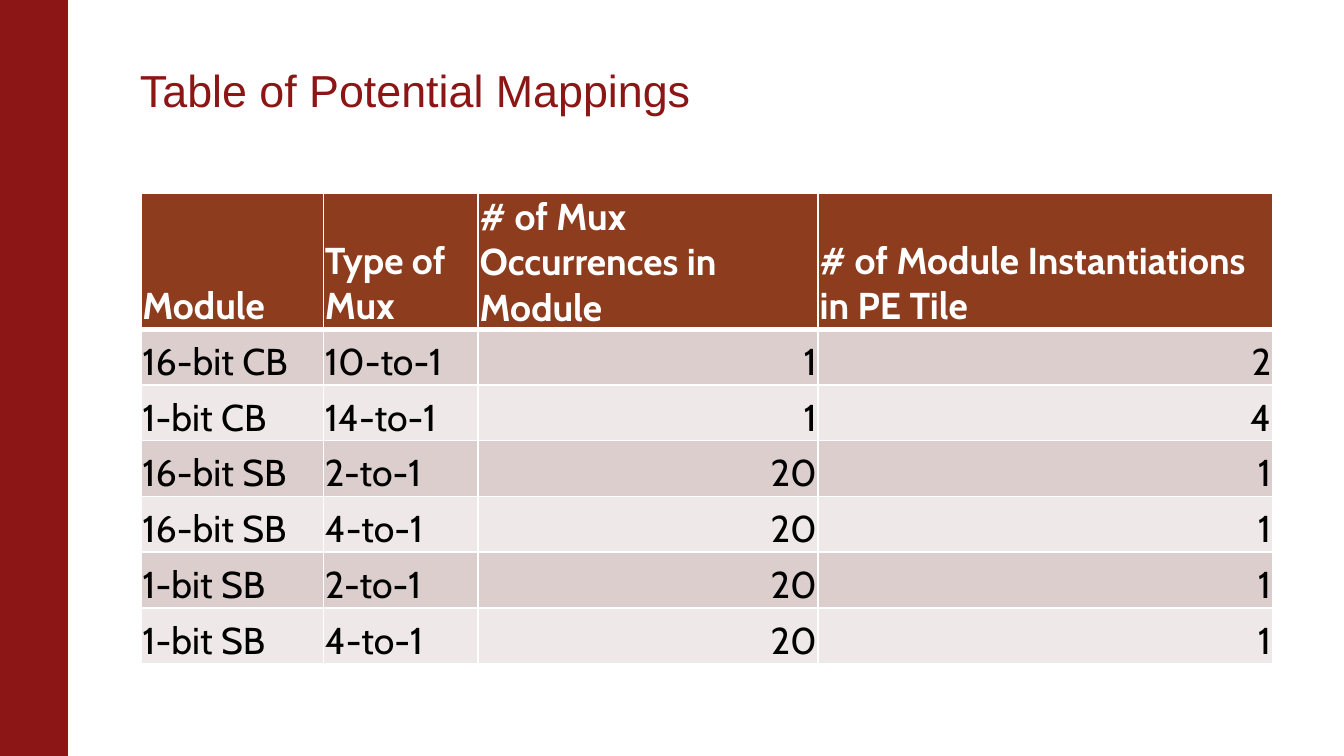
from lxml import etree
from pptx import Presentation
from pptx.dml.color import RGBColor
from pptx.enum.shapes import MSO_SHAPE
from pptx.enum.text import MSO_ANCHOR, PP_ALIGN
from pptx.oxml.ns import qn
from pptx.util import Pt

RECT = MSO_SHAPE.RECTANGLE
BOTTOM = MSO_ANCHOR.BOTTOM
LEFT, RIGHT = PP_ALIGN.LEFT, PP_ALIGN.RIGHT

COLORS = {
    "cardinal": "8C1515",
    "header": "8D3C1E",
    "band_dark": "DBCECD",
    "band_light": "EEE8E8",
    "white": "FFFFFF",
    "black": "000000",
}

COLUMN_WIDTHS = [97.9, 82.8, 182.2, 243.3]
HEADER_HEIGHT = 73
ROW_HEIGHT = 29.9
MAPPINGS = [
    ["Module", "Type of Mux", "# of Mux Occurrences in Module",
     "# of Module Instantiations in PE Tile"],
    ["16-bit CB", "10-to-1", "1", "2"],
    ["1-bit CB", "14-to-1", "1", "4"],
    ["16-bit SB", "2-to-1", "20", "1"],
    ["16-bit SB", "4-to-1", "20", "1"],
    ["1-bit SB", "2-to-1", "20", "1"],
    ["1-bit SB", "4-to-1", "20", "1"],
]


def rgb(name):
    return RGBColor.from_string(COLORS[name])


def format_font(font, name, size, color, bold=False):
    font.name, font.size, font.bold = name, Pt(size), bold
    font.color.rgb = rgb(color)


def set_margins(target, left, top, right, bottom):
    target.margin_left, target.margin_top = Pt(left), Pt(top)
    target.margin_right, target.margin_bottom = Pt(right), Pt(bottom)


def add_side_bar(s, x, y, w, h):
    bar = s.shapes.add_shape(RECT, Pt(x), Pt(y), Pt(w), Pt(h))
    bar.shadow.inherit = False
    bar.fill.solid()
    bar.fill.fore_color.rgb = rgb("cardinal")
    bar.line.color.rgb = rgb("cardinal")
    bar.line.width = Pt(0.75)


def add_title(s, x, y, w, h, text):
    tf = s.shapes.add_textbox(Pt(x), Pt(y), Pt(w), Pt(h)).text_frame
    tf.word_wrap = True
    tf.vertical_anchor = BOTTOM
    set_margins(tf, 0, 3.6, 7.2, 3.6)
    tf.text = text
    p = tf.paragraphs[0]
    p.line_spacing = 0.85
    format_font(p.runs[0].font, "Arial", 24, "cardinal")


def set_borders(cell, bottom_width):
    """Draw white cell borders; call before the fill, which must follow them in the XML."""
    tc_pr = cell._tc.get_or_add_tcPr()
    for side, width in (("L", 1), ("R", 1), ("T", 1), ("B", bottom_width)):
        ln = etree.SubElement(tc_pr, qn(f"a:ln{side}"), w=str(Pt(width)))
        fill = etree.SubElement(ln, qn("a:solidFill"))
        etree.SubElement(fill, qn("a:srgbClr"), val=COLORS["white"])


def fill_cell(cell, text, row, column):
    is_header = row == 0
    set_borders(cell, 3 if is_header else 1)
    cell.fill.solid()
    band = "band_dark" if row % 2 else "band_light"
    cell.fill.fore_color.rgb = rgb("header" if is_header else band)
    cell.vertical_anchor = BOTTOM
    set_margins(cell, 0.75, 0.75, 0.75, 0)
    cell.text = text
    p = cell.text_frame.paragraphs[0]
    p.alignment = RIGHT if column >= 2 and not is_header else LEFT
    format_font(p.runs[0].font, "Cabin", 20, "white" if is_header else "black", is_header)


def add_mapping_table(s, x, y, rows):
    heights = [HEADER_HEIGHT] + [ROW_HEIGHT] * (len(rows) - 1)
    table = s.shapes.add_table(
        len(rows), len(COLUMN_WIDTHS), Pt(x), Pt(y),
        Pt(sum(COLUMN_WIDTHS)), Pt(sum(heights))).table
    for column, width in zip(table.columns, COLUMN_WIDTHS):
        column.width = Pt(width)
    for i, (values, height) in enumerate(zip(rows, heights)):
        table.rows[i].height = Pt(height)
        for j, text in enumerate(values):
            fill_cell(table.cell(i, j), text, i, j)


def main():
    prs = Presentation()
    prs.slide_width, prs.slide_height = Pt(720), Pt(405)
    s = prs.slides.add_slide(prs.slide_layouts[6])
    add_side_bar(s, 0, 0, 36, 405)
    add_title(s, 75, 28, 607, 38.2, "Table of Potential Mappings")
    add_mapping_table(s, 75.5, 103.3, MAPPINGS)
    prs.save("out.pptx")


if __name__ == "__main__":
    main()
